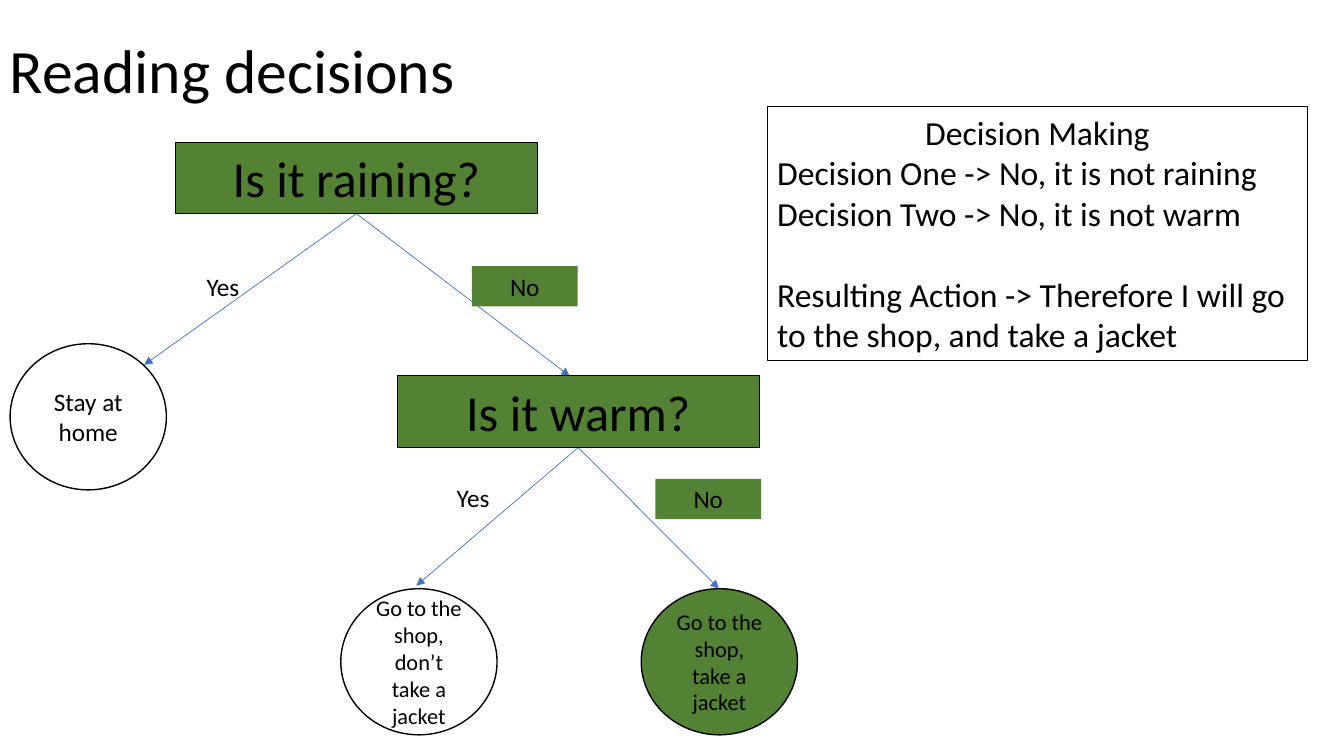
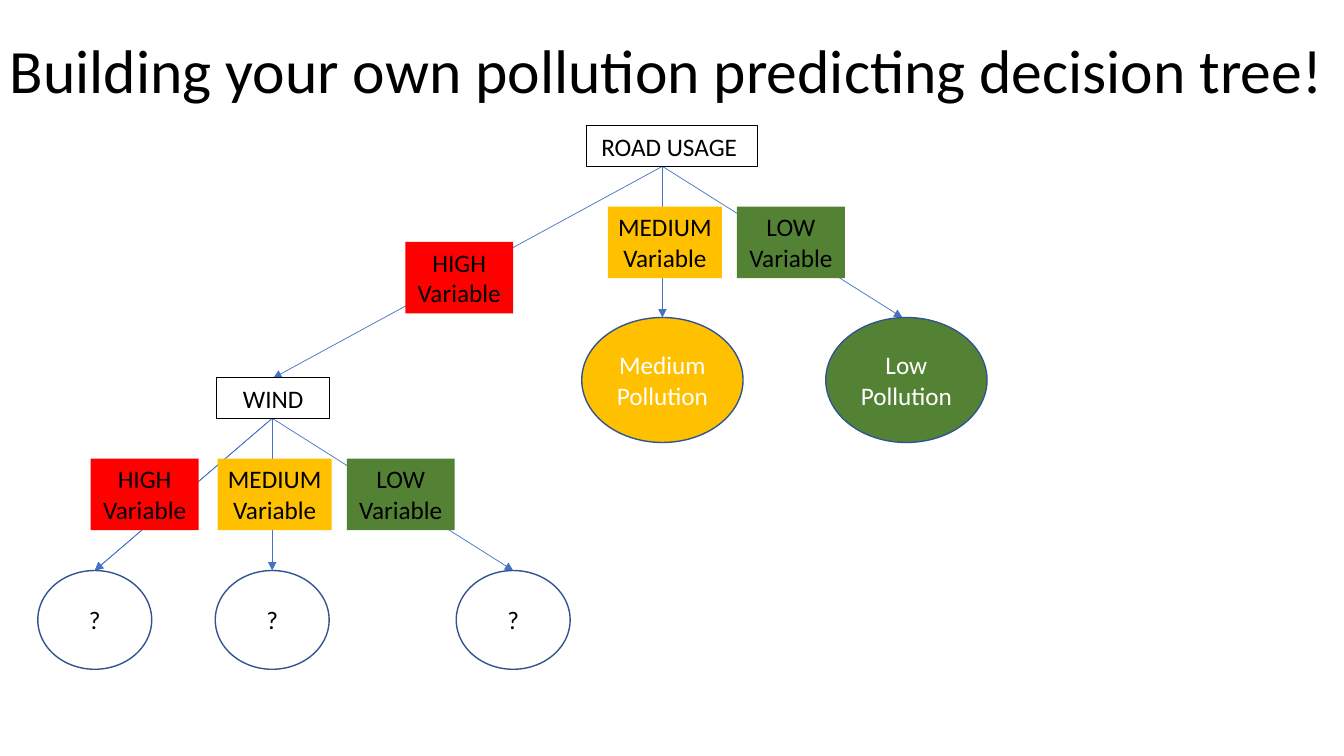
from lxml import etree
from pptx import Presentation
from pptx import util as u
from pptx.dml.color import RGBColor
from pptx.enum import shapes, text
from pptx.oxml import ns

COLORS = {
    "ink": "000000", "paper": "FFFFFF", "arrow": "4472C4", "rim": "325491",
    "high": "FF0000", "medium": "FFC000", "low": "548235",
}
FONT = "Calibri"
COLS, ROWS = 13.33, 7.5  # grid of one-inch columns and rows
RECT, OVAL = shapes.MSO_SHAPE.RECTANGLE, shapes.MSO_SHAPE.OVAL
LEFT, CENTER = text.PP_ALIGN.LEFT, text.PP_ALIGN.CENTER
TOP, MIDDLE = text.MSO_ANCHOR.TOP, text.MSO_ANCHOR.MIDDLE
LABEL_H, BADGE_H = 0.4, 0.71


def rgb(name):
    return RGBColor.from_string(COLORS[name])


def write(frame, lines, size, color="ink", align=CENTER, anchor=TOP, wrap=True):
    frame.word_wrap = wrap
    frame.vertical_anchor = anchor
    frame.text = "\n".join(lines)
    for paragraph in frame.paragraphs:
        paragraph.alignment = align
        for run in paragraph.runs:
            run.font.name, run.font.size = FONT, u.Pt(size)
            run.font.color.rgb = rgb(color)


def node(slide, kind, box, lines, size=18, fill=None, line=None, weight=0.75, **style):
    """Shape with text; box is left, top, width, height on the grid."""
    shape = slide.shapes.add_shape(kind, *map(u.Inches, box))
    shape.shadow.inherit = False
    if fill:
        shape.fill.solid()
        shape.fill.fore_color.rgb = rgb(fill)
    else:
        shape.fill.background()
    if line:
        shape.line.color.rgb = rgb(line)
        shape.line.width = u.Pt(weight)
    else:
        shape.line.fill.background()
    write(shape.text_frame, lines, size, **style)
    return shape


def arrow(slide, start, end):
    link = slide.shapes.add_connector(
        shapes.MSO_CONNECTOR.STRAIGHT, *map(u.Inches, (*start, *end)))
    link.line.color.rgb = rgb("arrow")
    link.line.width = u.Pt(0.5)
    etree.SubElement(link.line._get_or_add_ln(), ns.qn("a:tailEnd"), type="triangle")
    etree.SubElement(link._element.spPr, ns.qn("a:effectLst"))


def title(slide, words, width):
    box = slide.shapes.add_textbox(0, 0, u.Inches(width), u.Inches(1.45))
    write(box.text_frame, [words], 44, align=LEFT, anchor=MIDDLE)
    box.text_frame.paragraphs[0].line_spacing = 0.9


def yes_no_question(slide, box, question, tips, yes_at, no_at):
    """Question box with two arrows; tips and labels are offsets from the box."""
    x, y, w, h = box
    for dx, dy in tips:
        arrow(slide, (x + w / 2, y + h), (x + dx, y + dy))
    node(slide, RECT, box, [question], 36, "low", "ink")
    for word, (dx, dy), fill, align in (("Yes", yes_at, None, LEFT),
                                        ("No", no_at, "low", CENTER)):
        node(slide, RECT, (x + dx, y + dy, 1.05, LABEL_H), [word], fill=fill, align=align)


def action(slide, left, top, words, size, fill=None):
    node(slide, OVAL, (left, top, 1.55, 1.45), [words], size, fill, "ink", 1,
         anchor=MIDDLE)


def decision_summary(slide, box):
    lines = ["Decision Making",
             "Decision One -> No, it is not raining",
             "Decision Two -> No, it is not warm",
             "Resulting Action -> Therefore I will go to the shop, and take a jacket"]
    panel = node(slide, RECT, box, lines, 24, line="ink", align=LEFT)
    heading, *_, result = panel.text_frame.paragraphs
    heading.alignment = CENTER
    result.space_before = u.Pt(29.3)  # one line of text


def variable_split(slide, apex, name, name_box, high_at, high_tip, drop, outcomes, size):
    """Variable with three branches, all measured from the apex under its name.

    outcomes: offset of centre, words, fill, text colour, offset of arrow tip
    """
    x, y = apex
    left, width = name_box
    for tip in [high_tip] + [(outcome[-1], drop) for outcome in outcomes]:
        arrow(slide, apex, (x + tip[0], y + tip[1]))
    node(slide, RECT, (x + left, y - LABEL_H, width, LABEL_H), [name], line="ink",
         wrap=False)
    # Level badges
    for level, (dx, dy), w in (("high", high_at, 1.07), ("medium", (-0.54, 0.4), 1.13),
                               ("low", (0.74, 0.4), 1.07)):
        node(slide, RECT, (x + dx, y + dy, w, BADGE_H), [level.upper(), "Variable"],
             fill=level, wrap=False)
    # Outcomes
    w, h = size
    for dx, words, fill, color, _ in outcomes:
        node(slide, OVAL, (x + dx - w / 2, y + drop, w, h), [words], fill=fill,
             line="rim", weight=1, color=color, anchor=MIDDLE)


def reading_slide(slide):
    title(slide, "Reading decisions", 11.5)
    yes_no_question(slide, (1.74, 1.41, 3.59, 0.71), "Is it raining?",
                    [(-0.31, 2.21), (3.91, 2.32)], (0.21, 1.23), (2.94, 1.23))
    yes_no_question(slide, (3.94, 3.73, 3.59, 0.71), "Is it warm?",
                    [(0.19, 2.08), (3.19, 2.11)], (0.49, 1.01), (2.56, 1.02))
    action(slide, 0.1, 3.41, "Stay at home", 18)
    action(slide, 3.38, 5.84, "Go to the shop, don’t take a jacket", 16)
    action(slide, 6.36, 5.84, "Go to the shop, take a jacket", 16, "low")
    decision_summary(slide, (7.61, 1.06, 5.36, 2.52))


def building_slide(slide):
    title(slide, "Building your own pollution predicting decision tree!", COLS)
    variable_split(slide, (6.57, 1.65), "ROAD USAGE ", (-0.75, 1.69),
                   (-2.55, 0.75), (-3.86, 2.1), 1.5,
                   [(0, "Medium Pollution", "medium", "paper", 0),
                    (2.42, "Low Pollution", "low", "paper", 2.38)], (1.6, 1.24))
    variable_split(slide, (2.7, 4.15), "WIND", (-0.55, 1.12),
                   (-1.8, 0.4), (-1.76, 1.51), 1.51,
                   [(dx, "?", None, "ink", dx) for dx in (-1.76, 0, 2.39)], (1.13, 0.98))


def main():
    deck = Presentation()
    deck.slide_width, deck.slide_height = u.Inches(COLS), u.Inches(ROWS)
    for build in (reading_slide, building_slide):
        build(deck.slides.add_slide(deck.slide_layouts[6]))
    deck.save("out.pptx")


if __name__ == "__main__":
    main()
